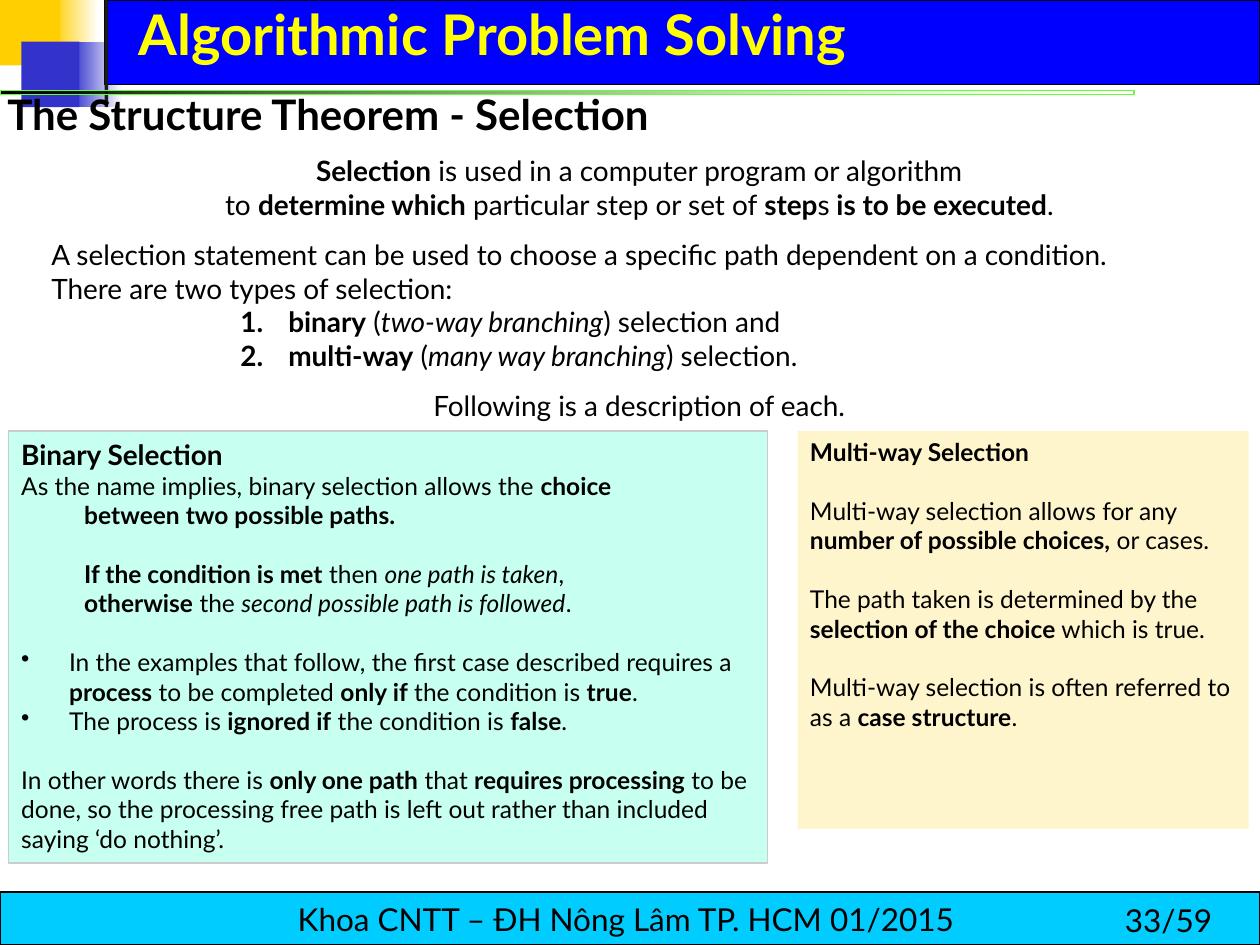
import dataclasses
import pptx
import pptx.dml.color
import pptx.enum.shapes
import pptx.enum.text
import pptx.oxml
import pptx.oxml.ns
import pptx.util
from pptx.util import Inches

FONT = "Lato"
LEFT = pptx.enum.text.PP_ALIGN.LEFT
MID = pptx.enum.text.PP_ALIGN.CENTER
TOP = pptx.enum.text.MSO_ANCHOR.TOP
CENTRE = pptx.enum.text.MSO_ANCHOR.MIDDLE
BASE = pptx.enum.text.MSO_ANCHOR.BOTTOM
DOT = '<a:buChar {} char="•"/>'
NUM = '<a:buAutoNum {} type="arabicPeriod"/>'
GAP = 16.8  # one line of 14 pt text


@dataclasses.dataclass
class Bar:
    at: tuple
    fill: str
    fade: str = ""
    line: str = ""
    width: float = 0.75
    clear: bool = False  # the fade ends fully transparent


@dataclasses.dataclass
class Para:
    text: str  # *bold*, _italic_
    size: float = 14
    gap: float = 0
    align: int = LEFT
    left: float = 0
    hang: float = 0
    mark: str = ""
    color: str = "000000"


def rgb(code: str) -> pptx.dml.color.RGBColor:
    return pptx.dml.color.RGBColor.from_string(code)


def draw_bar(slide, bar: Bar):
    shape = slide.shapes.add_shape(
        pptx.enum.shapes.MSO_SHAPE.RECTANGLE, *map(Inches, bar.at))
    shape.shadow.inherit = False
    if bar.fade:
        shape.fill.gradient()
        shape.fill.gradient_angle = 0
        first, last = shape.fill.gradient_stops
        first.color.rgb, last.color.rgb = rgb(bar.fill), rgb(bar.fade)
        if bar.clear:
            tone = shape.element.spPr.findall(
                ".//" + pptx.oxml.ns.qn("a:srgbClr"))[-1]
            tone.append(pptx.oxml.parse_xml(
                f'<a:alpha {pptx.oxml.ns.nsdecls("a")} val="0"/>'))
    else:
        shape.fill.solid()
        shape.fill.fore_color.rgb = rgb(bar.fill)
    if bar.line:
        shape.line.color.rgb = rgb(bar.line)
        shape.line.width = pptx.util.Pt(bar.width)
    else:
        shape.line.fill.background()
    return shape


def add_box(slide, *at: float):
    return slide.shapes.add_textbox(*map(Inches, at))


def write(shape, paras: list[Para], anchor=TOP) -> None:
    frame = shape.text_frame
    frame.word_wrap = True
    frame.vertical_anchor = anchor
    for i, para in enumerate(paras):
        item = frame.add_paragraph() if i else frame.paragraphs[0]
        item.alignment = para.align
        item.space_before = pptx.util.Pt(para.gap)
        item.font.name = FONT
        item.font.size = pptx.util.Pt(para.size)
        item.font.color.rgb = rgb(para.color)
        props = item._p.get_or_add_pPr()
        props.set("marL", str(Inches(para.left)))
        props.set("indent", str(-Inches(para.hang)))
        if para.mark:
            mark = para.mark.format(pptx.oxml.ns.nsdecls("a"))
            props.insert_element_before(
                pptx.oxml.parse_xml(mark), "a:tabLst", "a:defRPr")
        for j, part in enumerate(para.text.split("*")):
            for k, bit in enumerate(part.split("_")):
                if bit:
                    run = item.add_run()
                    run.text = bit
                    if j % 2:
                        run.font.bold = True
                    if k % 2:
                        run.font.italic = True


BARS = [
    Bar((0.42, 0, 0.36, 0.52), "FFCF01", "FFFFFF"),
    Bar((0.57, 0.33, 0.4, 0.52), "3333CC", "FFFFFF"),
    Bar((0.83, 0, 9.17, 0.67), "0000FF", line="000000"),
    Bar((0, 0, 0.48, 0.52), "FFCF01"),
    Bar((0.17, 0.33, 0.46, 0.52), "3333CC"),
    Bar((0.83, 0, 0.03, 0.85), "1C1C1C"),
    Bar((0, 0.72, 9, 0.03), "000000", "66FF33", "66FF33", 0, True),
]

INTRO = [
    Para("*Selection* is used in a computer program or algorithm", 16, align=MID),
    Para("to *determine which* particular step or set of *step*s"
         "* is to be executed*.", 16, align=MID),
    Para("A selection statement can be used to choose a specific path "
         "dependent on a condition.", 16, 9.6),
    Para("There are two types of selection:", 16),
    Para("*binary* (_two-way branching_) selection and", 16,
         left=1.88, hang=0.38, mark=NUM),
    Para("*multi-way* (_many way branching_) selection.", 16,
         left=1.88, hang=0.38, mark=NUM),
    Para("Following is a description of each.", 16, 9.6, MID, 0.38, 0.38),
]

BINARY = [
    Para("*Binary Selection*", 16),
    Para("As the name implies, binary selection allows the *choice*"),
    Para("*between two possible paths.*", left=0.5),
    Para("*If the condition is met* then _one path is taken_,", gap=GAP, left=0.5),
    Para("*otherwise* the _second possible path is followed_.", left=0.5),
    Para("In the examples that follow, the first case described requires a "
         "*process* to be completed *only if* the condition is *true*.",
         gap=GAP, left=0.38, hang=0.38, mark=DOT),
    Para("The process is *ignored if* the condition is *false*.",
         left=0.38, hang=0.38, mark=DOT),
    Para("In other words there is *only one path* that *requires processing* "
         "to be done, so the processing free path is left out rather than "
         "included saying ‘do nothing’.", gap=GAP),
]

MULTI = [
    Para("*Multi-way Selection*"),
    Para("Multi-way selection allows for any *number of possible choices,* "
         "or cases.", gap=GAP),
    Para("The path taken is determined by the *selection of the choice* "
         "which is true.", gap=GAP),
    Para("Multi-way selection is often referred to as a *case structure*.",
         gap=GAP),
]


def main() -> None:
    deck = pptx.Presentation()
    deck.slide_width, deck.slide_height = Inches(10), Inches(7.5)
    slide = deck.slides.add_slide(deck.slide_layouts[6])

    # Header decoration
    for bar in BARS:
        draw_bar(slide, bar)

    # Footer and page number
    foot = draw_bar(slide, Bar((0, 7.08, 10, 0.42), "00CCFF", line="000000"))
    write(foot, [Para("Khoa CNTT – ĐH Nông Lâm TP. HCM 01/2015 ", 18, align=MID)],
          CENTRE)
    write(add_box(slide, 8.83, 7.1, 1.17, 0.4), [Para("33/59", 18)])

    # Title and introduction
    write(add_box(slide, 1, 0.08, 8.58, 0.5),
          [Para("*Algorithmic Problem Solving*", 32, color="FFFF00")], BASE)
    write(add_box(slide, 0.31, 1.17, 9.53, 2.26), INTRO)

    # The two kinds of selection
    left = draw_bar(slide, Bar((0.07, 3.42, 6.02, 3.43), "C7FFF0", line="CCCCCC"))
    write(left, BINARY)
    right = draw_bar(slide, Bar((6.33, 3.42, 3.58, 3.16), "FFF5CC"))
    write(right, MULTI)

    # Section heading
    write(add_box(slide, -0.04, 0.65, 6.01, 0.5),
          [Para("*The Structure Theorem - Selection*", 24)])
    deck.save("out.pptx")


if __name__ == "__main__":
    main()
